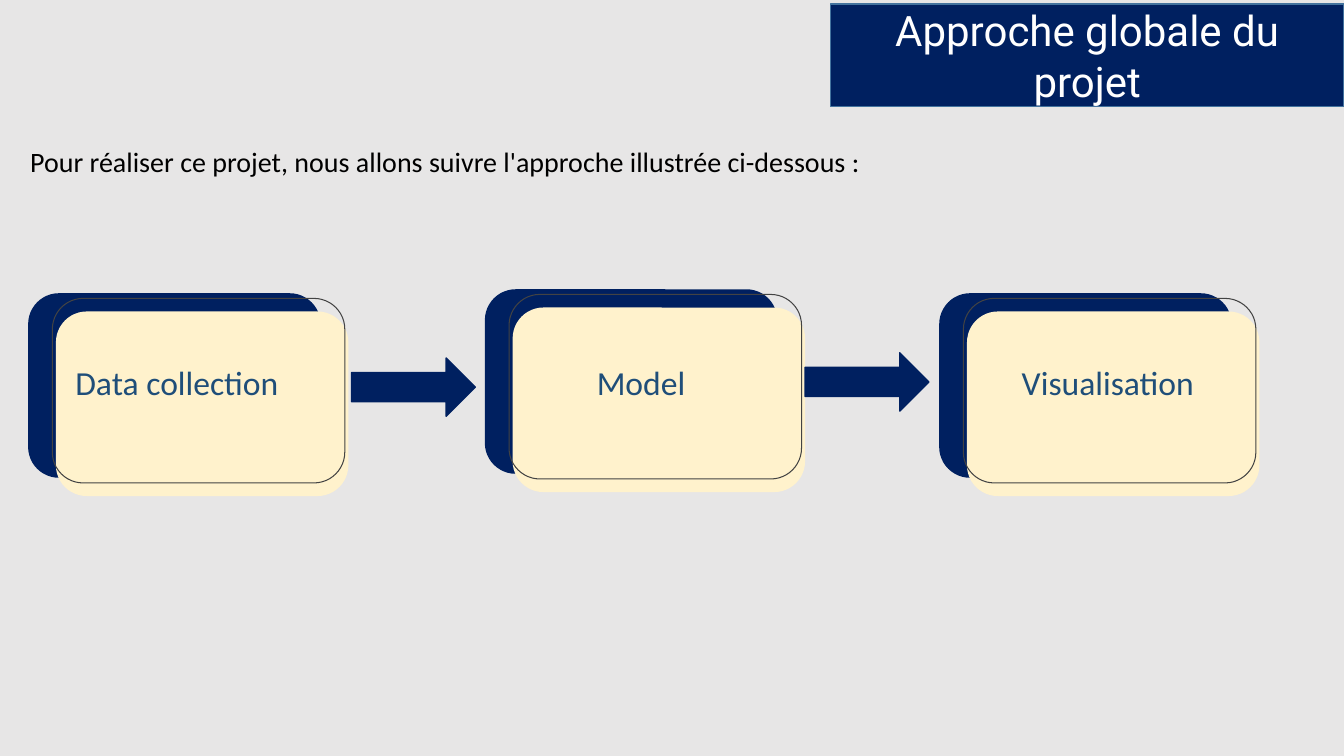
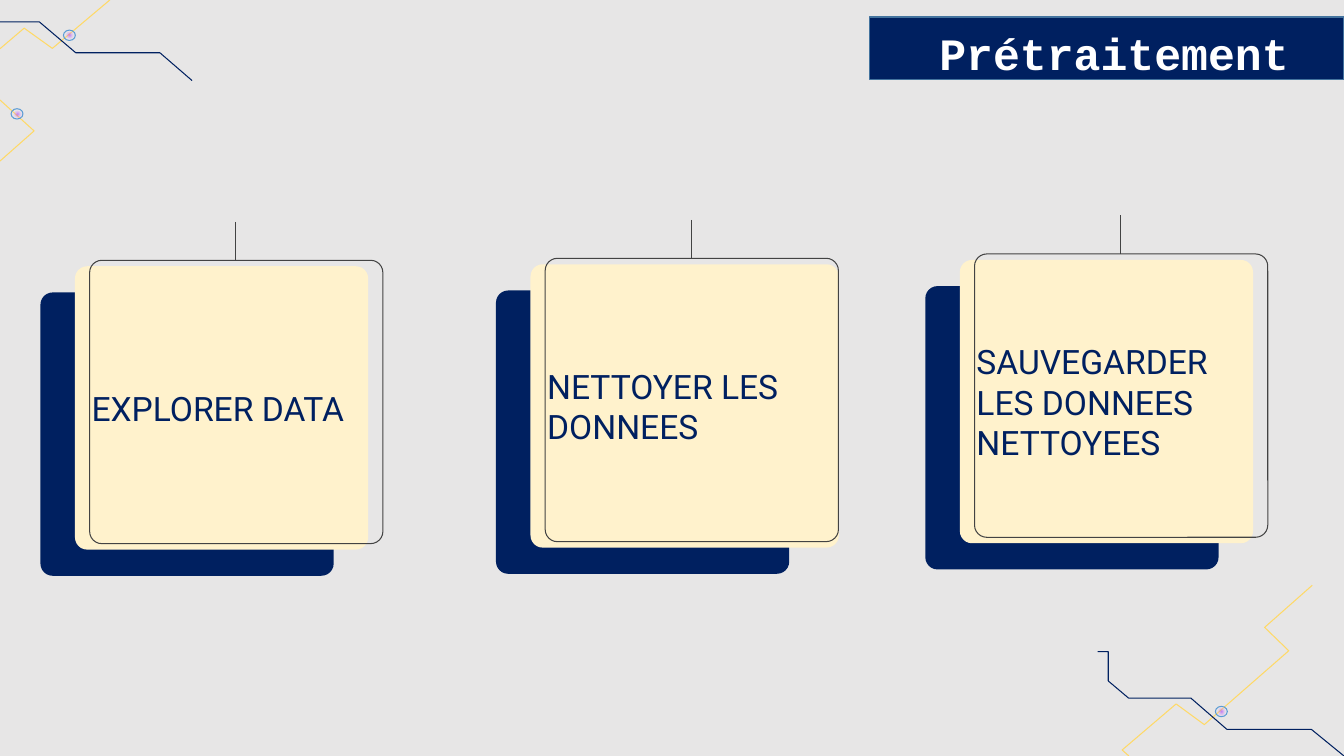
from dataclasses import dataclass

from lxml import etree
from pptx import Presentation
from pptx import util as u
from pptx.dml.color import RGBColor
from pptx.enum import shapes, text
from pptx.oxml import ns, parse_xml

SHAPE = shapes.MSO_SHAPE
ALIGN = text.PP_ALIGN


@dataclass(frozen=True)
class Theme:
    # Colours
    back: str = "E7E6E6"
    navy: str = "002060"
    cream: str = "FFF2CC"
    gold: str = "FFD966"
    edge: str = "43739E"
    grey: str = "434343"
    ring: str = "5B9BD5"
    glow: str = "9900FF"
    blue: str = "1F4E79"
    white: str = "FFFFFF"
    black: str = "000000"
    # Fonts, type sizes and line widths
    body: str = "Calibri"
    head: str = "Roboto"
    mono: str = "Courier New"
    small: int = 20
    mid: int = 24
    large: int = 30
    huge: int = 32
    thin: float = 0.75
    rule: float = 1


class Deck:
    def __init__(self, theme):
        self.t = theme
        self.prs = Presentation()
        self.prs.slide_width, self.prs.slide_height = u.Cm(33.87), u.Cm(19.05)
        self.slide = None

    def page(self):
        self.slide = self.prs.slides.add_slide(self.prs.slide_layouts[6])
        fill = self.slide.background.fill
        fill.solid()
        fill.fore_color.rgb = RGBColor.from_string(self.t.back)

    def paint(self, item, fill=None, line=None, width=None):
        item.shadow.inherit = False
        if fill:
            item.fill.solid()
            item.fill.fore_color.rgb = RGBColor.from_string(fill)
        else:
            item.fill.background()
        if line:
            item.line.color.rgb = RGBColor.from_string(line)
            item.line.width = u.Pt(width or self.t.thin)
        else:
            item.line.fill.background()

    def shape(self, kind, x, y, w, h, fill=None, line=None, width=None, adj=None):
        item = self.slide.shapes.add_shape(kind, u.Cm(x), u.Cm(y), u.Cm(w), u.Cm(h))
        self.paint(item, fill, line, width)
        if adj is not None:
            item.adjustments[0] = adj
        return item

    def words(self, item, copy, font, size, color, align=ALIGN.LEFT,
              bold=False, space=None, inset=(0.25, 0.13),
              anchor=text.MSO_ANCHOR.MIDDLE):
        frame = item.text_frame
        frame.word_wrap = True
        frame.vertical_anchor = anchor
        frame.margin_left = frame.margin_right = u.Cm(inset[0])
        frame.margin_top = frame.margin_bottom = u.Cm(inset[1])
        para = frame.paragraphs[0]
        para.alignment = align
        if space:
            para.line_spacing = space
        run = para.add_run()
        run.text = copy
        run.font.name, run.font.size, run.font.bold = font, u.Pt(size), bold
        run.font.color.rgb = RGBColor.from_string(color)

    def label(self, x, y, w, h, copy, size, color):
        box = self.slide.shapes.add_textbox(u.Cm(x), u.Cm(y), u.Cm(w), u.Cm(h))
        self.words(box, copy, self.t.body, size, color, anchor=text.MSO_ANCHOR.TOP)

    def title(self, x, y, w, h, copy, font, size, **style):
        band = self.shape(SHAPE.RECTANGLE, x, y, w, h,
                          self.t.navy, self.t.edge, self.t.rule)
        self.words(band, copy, font, size, self.t.white, **style)

    def card(self, x, y, w, h, adj, front, frame, wide=0):
        """Stack a navy back, a cream front and a thin frame; return the front."""
        kind = SHAPE.ROUNDED_RECTANGLE
        self.shape(kind, x, y, w, h, self.t.navy, adj=adj)
        face = self.shape(kind, x + front[0], y + front[1], w + wide, h,
                          self.t.cream, adj=adj)
        self.shape(kind, x + frame[0], y + frame[1], w, h,
                   line=self.t.grey, adj=adj)
        return face

    def arrow(self, x, y):
        self.shape(SHAPE.RIGHT_ARROW, x, y, 3.12, 1.47,
                   self.t.navy, self.t.navy, self.t.rule)

    def stem(self, x, top, end):
        line = self.slide.shapes.add_connector(
            shapes.MSO_CONNECTOR.STRAIGHT, u.Cm(x), u.Cm(top), u.Cm(x), u.Cm(end))
        line.line.color.rgb = RGBColor.from_string(self.t.grey)
        line.line.width = u.Pt(self.t.thin)
        etree.SubElement(line._element.spPr, ns.qn("a:effectLst"))

    def trace(self, color, spots):
        first, *rest = [(u.Cm(x), u.Cm(y)) for x, y in spots]
        pen = self.slide.shapes.build_freeform(*first)
        pen.add_line_segments(rest, close=False)
        self.paint(pen.convert_to_shape(), line=color)

    def node(self, x, y):
        """A ringed dot with a soft glow, centred on x, y."""
        self.shape(SHAPE.OVAL, x - 0.15, y - 0.13, 0.3, 0.26, line=self.t.ring)
        dot = self.shape(SHAPE.OVAL, x - 0.1, y - 0.09, 0.2, 0.18, self.t.glow)
        glow = parse_xml(
            f'<a:gradFill {ns.nsdecls("a")}><a:gsLst>'
            f'<a:gs pos="0"><a:srgbClr val="{self.t.glow}">'
            '<a:alpha val="47000"/></a:srgbClr></a:gs>'
            f'<a:gs pos="100000"><a:srgbClr val="{self.t.white}">'
            '<a:alpha val="0"/></a:srgbClr></a:gs></a:gsLst>'
            '<a:path path="circle"><a:fillToRect l="50000" t="50000" '
            'r="50000" b="50000"/></a:path></a:gradFill>')
        props = dot._element.spPr
        props.replace(props.find(ns.qn("a:solidFill")), glow)


def plan(deck):
    t = deck.t
    deck.page()
    deck.label(0.51, 3.51, 23.85, 1.12,
               "Pour réaliser ce projet, nous allons suivre l'approche "
               "illustrée ci-dessous :", t.small, t.black)
    deck.title(20.93, 0.1, 12.94, 2.59, "Approche globale du projet",
               t.head, t.large, align=ALIGN.CENTER, inset=(1, 0))

    # Steps: card position, label indent and text
    for x, y, dent, copy in [(0.71, 7.39, 0.94, "Data collection"),
                             (12.22, 7.29, 2.57, "Model"),
                             (23.67, 7.39, 1.83, "Visualisation")]:
        deck.card(x, y, 7.37, 4.65, 0.167, (0.7, 0.46), (0.61, 0.13))
        deck.label(x + dent, 9, 7.62, 1.27, copy, t.mid, t.blue)
    for x, y in [(8.86, 9.02), (20.29, 8.89)]:
        deck.arrow(x, y)


def prep(deck):
    t = deck.t
    deck.page()

    # Circuit traces in two corners
    for color, spots in [
        (t.gold, [(2.77, 0), (1.32, 1.22), (0.61, 0.71), (0, 1.23)]),
        (t.gold, [(0, 2.52), (0.86, 3.3), (0, 4.06)]),
        (t.navy, [(0, 0.55), (0.99, 0.55), (1.91, 1.33), (4.03, 1.33),
                  (4.84, 2.03)]),
        (t.gold, [(33.07, 14.75), (31.87, 15.81), (32.48, 16.4), (30.35, 18.26),
                  (29.64, 17.74), (28.28, 18.9), (28.45, 19.05)]),
        (t.navy, [(27.66, 16.42), (27.93, 16.42), (27.93, 17.16), (28.44, 17.59),
                  (30.01, 17.59), (30.92, 18.38), (33.05, 18.38),
                  (33.87, 19.05)]),
    ]:
        deck.trace(color, spots)
    for x, y in [(0.43, 2.87), (1.75, 0.89), (30.78, 17.93)]:
        deck.node(x, y)

    deck.title(21.92, 0.43, 11.95, 1.57, "Prétraitement", t.mono, t.huge,
               align=ALIGN.RIGHT, bold=True, space=1.15, inset=(1.38, 0))

    # Tasks: card position, extra front width and text
    for x, y, wide, copy in [(1.02, 7.37, 0, "EXPLORER DATA"),
                             (12.5, 7.32, 0.38, "NETTOYER LES DONNEES"),
                             (23.32, 7.21, 0, "SAUVEGARDER LES DONNEES NETTOYEES")]:
        deck.stem(x + 4.92, y - 1.78, y - 0.8)
        face = deck.card(x, y, 7.39, 7.14, 0.043, (0.87, -0.66), (1.24, -0.81), wide)
        deck.words(face, copy, t.head, t.mid, t.navy, inset=(0.33, 0.33))


def main():
    deck = Deck(Theme())
    plan(deck)
    prep(deck)
    deck.prs.save("out.pptx")


if __name__ == "__main__":
    main()
